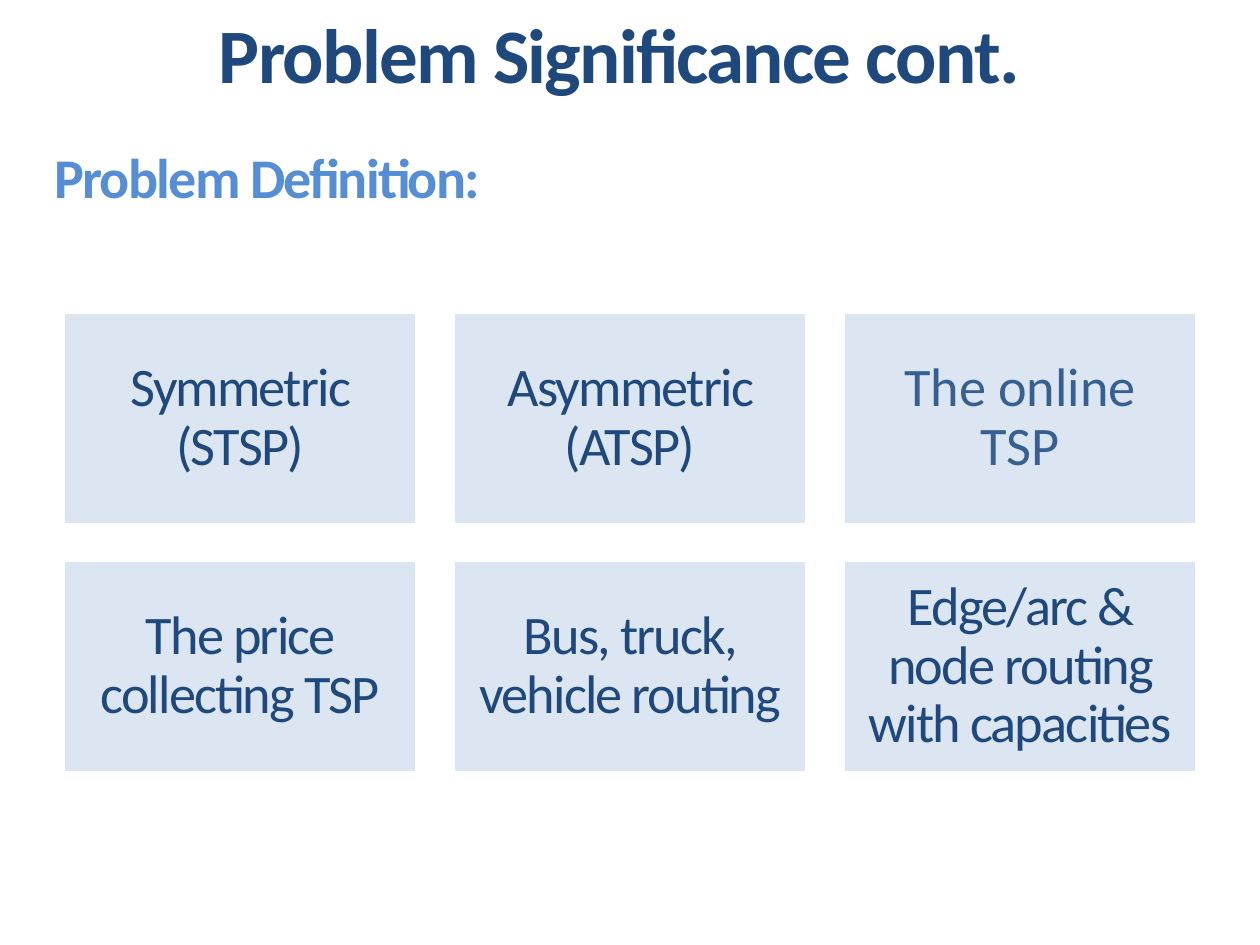
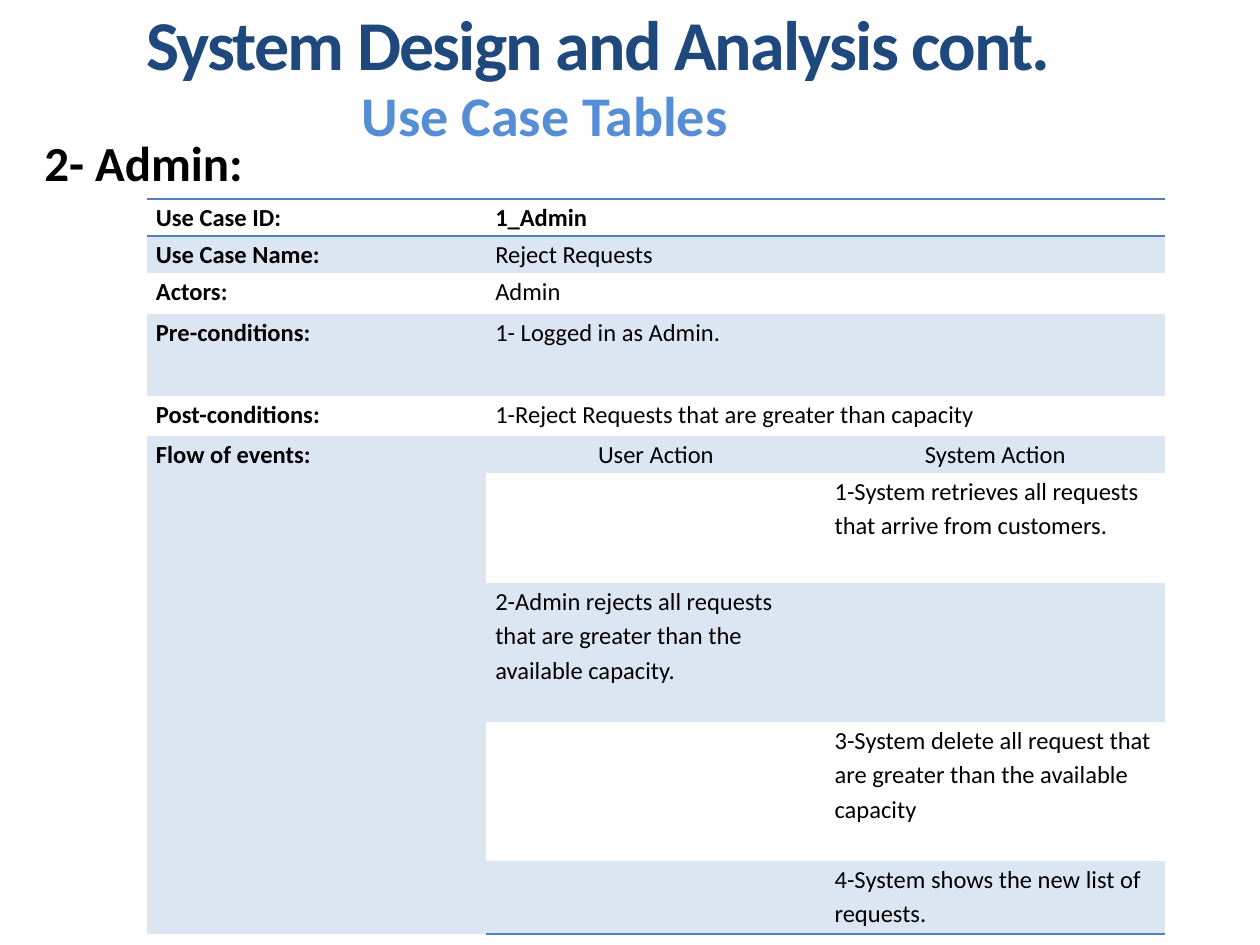
"""Build two slides on routing problems and an admin use case."""
from lxml.etree import SubElement
from pptx import Presentation
from pptx.dml.color import RGBColor
from pptx.enum.shapes import MSO_SHAPE
from pptx.enum.text import MSO_ANCHOR, MSO_AUTO_SIZE, PP_ALIGN
from pptx.oxml.ns import qn
from pptx.util import Emu, Pt

SCALE = 914400 / 126
NAVY = RGBColor(0x1F, 0x49, 0x7D)
STEEL = RGBColor(0x37, 0x60, 0x92)
SKY = RGBColor(0x55, 0x8E, 0xD5)
EDGE = RGBColor(0x4F, 0x81, 0xBD)
PALE = RGBColor(0xDC, 0xE6, 0xF2)
WHITE = RGBColor(0xFF, 0xFF, 0xFF)
BLACK = RGBColor(0, 0, 0)
LEFT, CENTER = PP_ALIGN.LEFT, PP_ALIGN.CENTER
NO_GRID = "{2D5ABB26-0587-4C30-8999-92F81FD0307C}"

CARDS = [
    ["Symmetric (STSP)", "Asymmetric (ATSP)", "The online TSP"],
    ["The price collecting TSP", "Bus, truck, vehicle routing",
     "Edge/arc & node routing with capacities"],
]
CASE = [
    (37, "Use Case ID:", "1_Admin", ""),
    (37, "Use Case Name:", "Reject Requests", ""),
    (41, "Actors:", "Admin", ""),
    (82, "Pre-conditions:", "1- Logged in as Admin.", ""),
    (40, "Post-conditions:", "1-Reject Requests that are greater than capacity", ""),
    (37, "Flow of events:", "User Action", "System Action"),
    (110, "", "", "1-System retrieves all requests that arrive from customers."),
    (139, "", "2-Admin rejects all requests that are greater than the "
     "available capacity.", ""),
    (139, "", "", "3-System delete all request that are greater than the "
     "available capacity"),
    (73, "", "", "4-System shows the new list of requests."),
]
FLOW = 5


def px(*sizes):
    return [Emu(round(size * SCALE)) for size in sizes]


class Deck:
    def __init__(self):
        self.show = Presentation()
        self.show.slide_width, self.show.slide_height = px(1260, 945)
        self.slide = None

    def text(self, frame, words, size, color, bold=False, align=LEFT, tight=False):
        frame.word_wrap = True
        para = frame.paragraphs[0]
        para.text = words
        para.alignment = align
        font = para.font
        font.name, font.size, font.bold = "Calibri", Pt(size), bold
        font.color.rgb = color
        if tight:
            para._p.pPr.find(qn("a:defRPr")).set("spc", "-100")
        return para

    def title(self, words, size, left, height):
        self.slide = self.show.slides.add_slide(self.show.slide_layouts[5])
        head = self.slide.shapes.title
        head.left, head.top, head.width, head.height = px(left, 0, 987, height)
        frame = head.text_frame
        frame.auto_size = MSO_AUTO_SIZE.NONE
        frame.vertical_anchor = MSO_ANCHOR.MIDDLE
        self.text(frame, words, size, NAVY, True, CENTER, True)

    def label(self, words, box, size, color, **style):
        shape = self.slide.shapes.add_textbox(*px(*box))
        self.text(shape.text_frame, words, size, color, True, **style)

    def card(self, words, box, color, tight):
        shape = self.slide.shapes.add_shape(MSO_SHAPE.RECTANGLE, *px(*box))
        shape.shadow.inherit = False
        shape.fill.solid()
        shape.fill.fore_color.rgb = PALE
        shape.line.color.rgb = WHITE
        shape.line.width = Pt(2)
        frame = shape.text_frame
        frame.vertical_anchor = MSO_ANCHOR.MIDDLE
        (frame.margin_left, frame.margin_top,
         frame.margin_right, frame.margin_bottom) = px(16, 16, 16, 16)
        para = self.text(frame, words, 31, color, align=CENTER, tight=tight)
        para.line_spacing = 0.9

    def rule(self, cell, side):
        line = SubElement(cell._tc.get_or_add_tcPr(), qn("a:" + side), w="12700")
        fill = SubElement(line, qn("a:solidFill"))
        SubElement(fill, qn("a:srgbClr"), val=str(EDGE))

    def cell(self, cell, words, bold, align, shade, sides):
        for side in sides:
            self.rule(cell, side)
        if shade:
            cell.fill.solid()
            cell.fill.fore_color.rgb = PALE
        else:
            cell.fill.background()
        (cell.margin_left, cell.margin_top,
         cell.margin_right, cell.margin_bottom) = px(9, 0, 9, 0)
        if words:
            para = self.text(cell.text_frame, words, 14, BLACK, bold, align)
            para.line_spacing, para.space_after = 1.15, Pt(10)

    def table(self, rows, left, top, width):
        high = sum(row[0] for row in rows)
        frame = self.slide.shapes.add_table(len(rows), 3, *px(left, top, width, high))
        table = frame.table
        table.first_row = table.horz_banding = False
        table._tbl.tblPr.find(qn("a:tableStyleId")).text = NO_GRID
        last = len(rows) - 1
        for r, (height, *texts) in enumerate(rows):
            table.rows[r].height = px(height)[0]
            sides = {0: ["lnT", "lnB"], last: ["lnB"]}.get(r, [])
            for c, words in enumerate(texts):
                align = CENTER if r == FLOW and c else LEFT
                shade = r % 2 == 1 or (c == 0 and r >= FLOW)
                self.cell(table.cell(r, c), words, c == 0 or r == 0, align, shade, sides)
            if r < FLOW:
                table.cell(r, 1).merge(table.cell(r, 2))
        table.cell(FLOW, 0).merge(table.cell(last, 0))


def main():
    deck = Deck()
    deck.title("Problem Significance cont.", 44, 126, 106)
    deck.label("Problem Definition:", (42, 136, 756, 81), 32, SKY, tight=True)
    for r, row in enumerate(CARDS):
        for c, words in enumerate(row):
            live = words == "The online TSP"
            box = (63 + 390 * c, 312 + 248 * r, 354, 213)
            deck.card(words, box, STEEL if live else NAVY, not live)

    deck.title("System Design and Analysis cont.", 40, 105, 86)
    deck.label("2- Admin:", (32, 126, 530, 72), 28, BLACK)
    deck.label("Use Case Tables", (225, 74, 640, 81), 32, SKY, align=CENTER)
    deck.table(CASE, 147, 199, 1018)
    deck.show.save("out.pptx")


if __name__ == "__main__":
    main()
